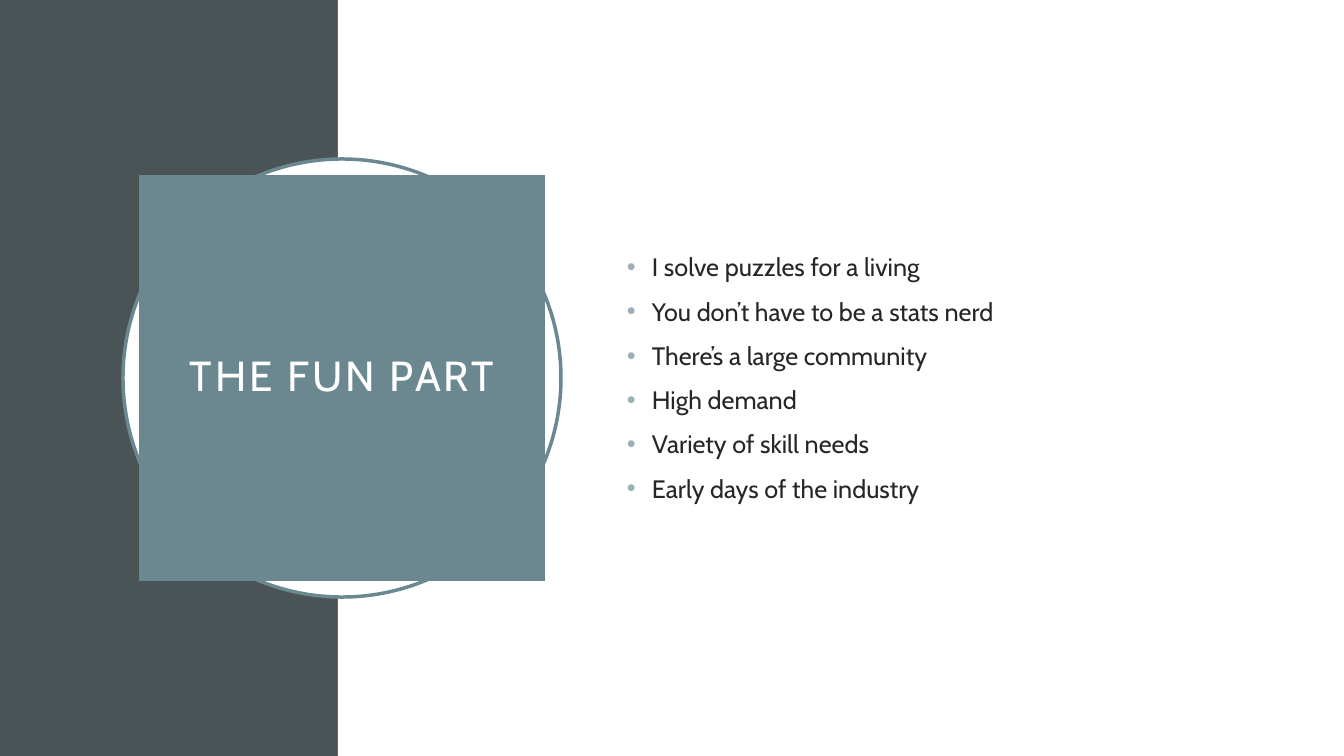
"""Build the slide "The fun part": a framed title beside a bulleted list."""
from lxml import etree
from pptx import Presentation
from pptx.dml.color import RGBColor
from pptx.enum.shapes import MSO_SHAPE
from pptx.enum.text import MSO_ANCHOR, PP_ALIGN
from pptx.oxml.ns import qn
from pptx.util import Pt

RECTANGLE, OVAL = MSO_SHAPE.RECTANGLE, MSO_SHAPE.OVAL
MIDDLE, CENTER = MSO_ANCHOR.MIDDLE, PP_ALIGN.CENTER

TITLE = "THE FUN PART"
POINTS = [
    "I solve puzzles for a living",
    "You don’t have to be a stats nerd",
    "There’s a large community",
    "High demand",
    "Variety of skill needs",
    "Early days of the industry",
]
FONT = "Cabin"
DARK, TEAL, WHITE = "4A5356", "6B8891", "FFFFFF"
TEXT, BULLET = "262626", "9BAFB5"

WIDTH, HEIGHT = 1344, 756
PANEL_WIDTH = 338
CENTER_X, CENTER_Y = 342, 378
RING_SIZE, TITLE_SIZE = 438, 406
TITLE_INSET = 20
LIST_BOX = (617, 154, 587, 447)
LIST_INDENT = 25


def px(length):
    """Turn pixels into EMU."""
    return round(length * 914400 / 100.8)


def color(value):
    """Turn a hex string into a colour."""
    return RGBColor.from_string(value)


def centered(size):
    """Return the square box of a given size around the title's centre."""
    return CENTER_X - size / 2, CENTER_Y - size / 2, size, size


def add_filled(slide, kind, box, fill, line=None):
    """Add a flat shape with an optional outline."""
    shape = slide.shapes.add_shape(kind, *map(px, box))
    shape.shadow.inherit = False
    shape.fill.solid()
    shape.fill.fore_color.rgb = color(fill)
    if line:
        shape.line.color.rgb = color(line)
        shape.line.width = Pt(2.5)
    else:
        shape.line.fill.background()


def style_font(paragraph, size, value):
    """Set the font of a paragraph."""
    paragraph.font.name = FONT
    paragraph.font.size = Pt(size)
    paragraph.font.color.rgb = color(value)


def place_title(slide):
    """Fill, place and raise the title above the shapes."""
    title = slide.shapes.title
    title.left, title.top, title.width, title.height = map(px, centered(TITLE_SIZE))
    title.fill.solid()
    title.fill.fore_color.rgb = color(TEAL)
    frame = title.text_frame
    frame.text = TITLE
    frame.word_wrap = True
    frame.vertical_anchor = MIDDLE
    frame.margin_left = frame.margin_right = px(TITLE_INSET)
    frame.margin_top = frame.margin_bottom = px(TITLE_INSET)
    paragraph = frame.paragraphs[0]
    paragraph.alignment = CENTER
    paragraph.line_spacing = 0.9
    style_font(paragraph, 30, WHITE)
    paragraph.runs[0].font._element.set("spc", "200")
    slide.shapes._spTree.append(title._element)


def add_bullet(paragraph):
    """Give a paragraph a hanging, coloured bullet."""
    properties = paragraph._p.get_or_add_pPr()
    properties.set("marL", str(px(LIST_INDENT)))
    properties.set("indent", str(-px(LIST_INDENT)))
    bullet_color = etree.Element(qn("a:buClr"))
    etree.SubElement(bullet_color, qn("a:srgbClr"), val=BULLET)
    bullet_font = etree.Element(qn("a:buFont"), typeface="Arial")
    bullet = etree.Element(qn("a:buChar"), char="•")
    position = len(properties.findall(qn("a:spcBef")))
    properties[position:position] = [bullet_color, bullet_font, bullet]


def add_list(slide):
    """Add the bulleted list."""
    frame = slide.shapes.add_textbox(*map(px, LIST_BOX)).text_frame
    frame.word_wrap = True
    frame.vertical_anchor = MIDDLE
    frame.text = "\n".join(POINTS)
    for paragraph in frame.paragraphs:
        paragraph.space_before = Pt(10)
        style_font(paragraph, 18, TEXT)
        add_bullet(paragraph)


def main():
    """Build and save the presentation."""
    presentation = Presentation()
    presentation.slide_width, presentation.slide_height = px(WIDTH), px(HEIGHT)
    slide = presentation.slides.add_slide(presentation.slide_layouts[5])
    add_filled(slide, RECTANGLE, (0, 0, PANEL_WIDTH, HEIGHT), DARK)
    add_filled(slide, RECTANGLE, (PANEL_WIDTH, 0, WIDTH - PANEL_WIDTH, HEIGHT), WHITE)
    add_filled(slide, OVAL, centered(RING_SIZE), WHITE, TEAL)
    place_title(slide)
    add_list(slide)
    presentation.save("out.pptx")


if __name__ == "__main__":
    main()
